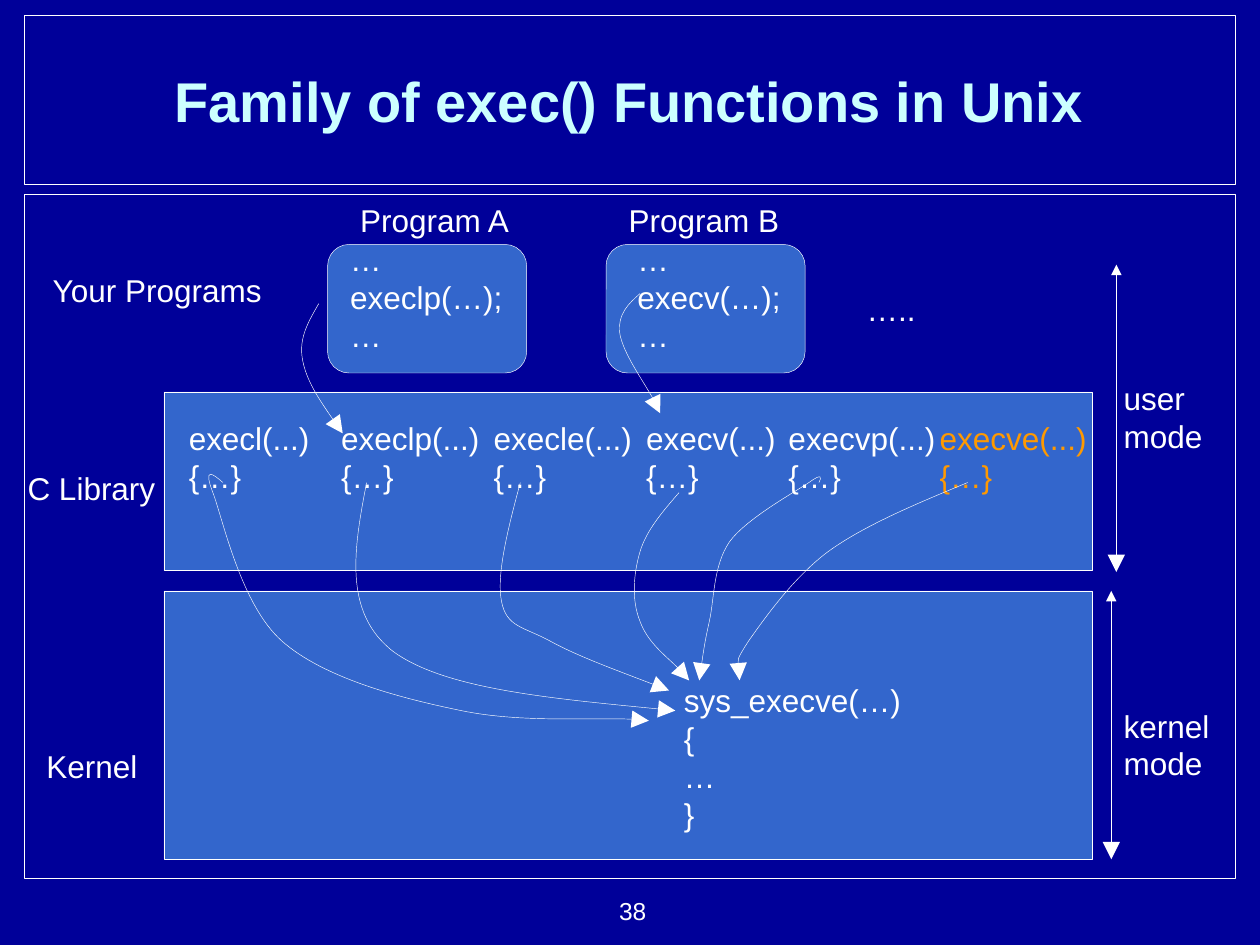
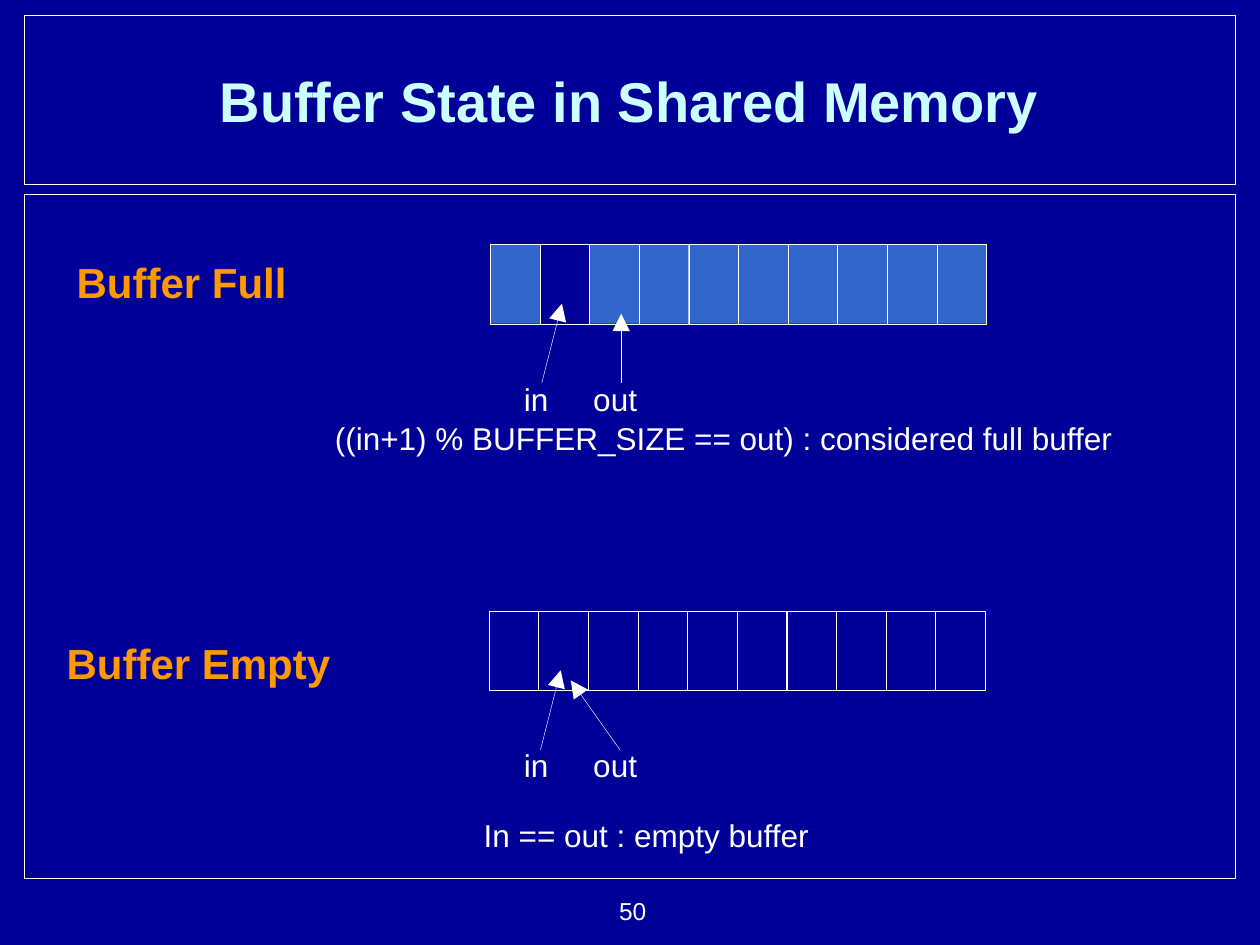
from lxml import etree
from pptx import Presentation
from pptx import util as u
from pptx.dml.color import RGBColor
from pptx.enum import shapes, text
from pptx.oxml import ns

NAVY = RGBColor(0x00, 0x00, 0x99)
BLUE = RGBColor(0x33, 0x66, 0xCC)
WHITE = RGBColor(0xFF, 0xFF, 0xFF)
PALE = RGBColor(0xCC, 0xFF, 0xFF)
ORANGE = RGBColor(0xFF, 0x99, 0x00)

FONT = "Arial"
COLS, ROWS = 100, 75  # all lengths below are columns and rows of this grid
HAIRLINE = 0.25
RECT = shapes.MSO_SHAPE.RECTANGLE
ROUNDED = shapes.MSO_SHAPE.ROUNDED_RECTANGLE


class Deck:
    """Holds the deck's style and the slide being drawn."""

    def __init__(self):
        self.prs = Presentation()
        self.prs.slide_width, self.prs.slide_height = u.Inches(10), u.Inches(7.5)
        self.col = self.prs.slide_width / COLS
        self.row = self.prs.slide_height / ROWS
        fill = self.prs.slide_master.background.fill
        fill.solid()
        fill.fore_color.rgb = NAVY
        self.s = None

    def point(self, x, y):
        return round(x * self.col), round(y * self.row)

    def slide(self, title, number):
        """Start a slide with the shared frames, title and page number."""
        self.s = self.prs.slides.add_slide(self.prs.slide_layouts[6])
        self.box(1.95, 1.25, 96.1, 13.4, weight=0.75)
        self.box(1.95, 15.45, 96.1, 54.3, weight=0.75)
        self.text([title], 3.5, 1.7, 92.9, 12.5, PALE, 32, bold=True,
                  align=text.PP_ALIGN.CENTER, anchor=text.MSO_ANCHOR.MIDDLE)
        self.text([number], 41.9, 70.6, 9.4, 3.4, size=14,
                  align=text.PP_ALIGN.RIGHT)

    def box(self, x, y, w, h, fill=None, weight=HAIRLINE, kind=RECT):
        sp = self.s.shapes.add_shape(kind, *self.point(x, y), *self.point(w, h))
        self.paint(sp, fill, weight)

    def paint(self, sp, fill=None, weight=HAIRLINE):
        sp.shadow.inherit = False
        if fill is None:
            sp.fill.background()
        else:
            sp.fill.solid()
            sp.fill.fore_color.rgb = fill
        self.stroke(sp, weight)

    def stroke(self, sp, weight=HAIRLINE):
        sp.line.color.rgb = WHITE
        sp.line.width = u.Pt(weight)

    def text(self, lines, x, y, w, h=4, color=WHITE, size=18, bold=False,
             align=text.PP_ALIGN.LEFT, anchor=text.MSO_ANCHOR.TOP):
        """One paragraph per line; a newline inside a line is a line break."""
        sp = self.s.shapes.add_textbox(*self.point(x, y), *self.point(w, h))
        tf = sp.text_frame
        tf.word_wrap = True
        tf.vertical_anchor = anchor
        if align != text.PP_ALIGN.CENTER:
            tf.margin_right = 0  # leaves room so that labels stay on one line
        for i, line in enumerate(lines):
            p = tf.add_paragraph() if i else tf.paragraphs[0]
            p.alignment = align
            for j, part in enumerate(line.split("\n")):
                if j:
                    p.add_line_break()
                r = p.add_run()
                r.text = part
                r.font.name, r.font.size, r.font.bold = FONT, u.Pt(size), bold
                r.font.color.rgb = color

    def arrowhead(self, sp, end, size):
        ln = sp.line._get_or_add_ln()
        etree.SubElement(ln, ns.qn(f"a:{end}"), type="triangle", w=size, len=size)

    def arrow(self, x1, y1, x2, y2, both=False):
        sp = self.s.shapes.add_connector(shapes.MSO_CONNECTOR.STRAIGHT,
                                         *self.point(x1, y1), *self.point(x2, y2))
        self.stroke(sp)
        if both:
            self.arrowhead(sp, "headEnd", "med")
        self.arrowhead(sp, "tailEnd", "lg")
        etree.SubElement(sp._element.spPr, ns.qn("a:effectLst"))

    def curve(self, *points):
        """Arrow along Bezier curves: a start, then three points per curve."""
        start, *rest = [self.point(*xy) for xy in points]
        builder = self.s.shapes.build_freeform(*start)
        builder.add_line_segments(rest, close=False)
        sp = builder.convert_to_shape()
        self.paint(sp)
        self.arrowhead(sp, "tailEnd", "lg")
        segments = list(sp._element.iter(ns.qn("a:lnTo")))
        outline = segments[0].getparent()
        for i in range(0, len(segments), 3):
            bezier = etree.SubElement(outline, ns.qn("a:cubicBezTo"))
            for segment in segments[i:i + 3]:
                bezier.append(segment[0])
                outline.remove(segment)


def exec_family(d):
    d.slide("Family of exec() Functions in Unix", "38")

    # Programs
    for name, call, box_x, name_x, call_x, call_w in (
            ("Program A", "execlp(…);", 26, 27.6, 26.8, 14.1),
            ("Program B", "execv(…);", 48.1, 48.9, 49.6, 13.4)):
        d.box(box_x, 19.4, 15.8, 10.2, BLUE, kind=ROUNDED)
        d.text([name], name_x, 15.5, 13.9)
        d.text(["…", call, "…"], call_x, 18.6, call_w, 10)
    d.text(["….."], 67.8, 22.5, 5.9)

    # Kernel and library bands
    d.box(13, 46.9, 73.7, 21.3, BLUE)
    d.box(13, 31.1, 73.7, 14.2, BLUE)
    d.text(["sys_execve(…)", "{", "…", "}"], 53.3, 53.6, 19.2, 13)

    # Library functions
    for name, x, w, color in (("execl", 14, 11.6, WHITE), ("execlp", 26.1, 13, WHITE),
                              ("execle", 38.2, 13, WHITE), ("execv", 50.3, 12.3, WHITE),
                              ("execvp", 61.6, 13.6, WHITE),
                              ("execve", 73.6, 13.6, ORANGE)):
        d.text([f"{name}(...)", "{…}"], x, 32.8, w, 7, color)

    # Layer names
    for name, x, y, w in (("Your Programs", 3.2, 21, 18.8),
                          ("C Library", 1.2, 36.7, 12.1), ("Kernel", 2.7, 58.8, 9.2)):
        d.text([name], x, y, w)

    # Modes
    d.arrow(88.6, 21, 88.6, 45.4, both=True)
    d.arrow(88.2, 46.9, 88.2, 68.2, both=True)
    d.text(["user\nmode"], 88.2, 29.6, 8.2, 7)
    d.text(["kernel\nmode"], 88.2, 55.6, 8.8, 10)

    # Calls from the programs into the library
    d.curve((25.3, 24.1), (24.5, 25.5), (23.7, 26.8), (24, 28.5),
            (24.3, 30.2), (25.7, 32.3), (27.2, 34.4))
    d.curve((50.8, 23.3), (49.9, 24.1), (49, 24.9), (49.2, 26.5),
            (49.5, 28.1), (52, 31.6), (52.4, 32.8))

    # Calls from the library into the kernel
    d.curve((17.7, 38.3), (16.9, 37.6), (16.1, 37), (16.9, 39.1),
            (17.7, 41.2), (19.1, 48), (22.4, 50.9),
            (25.7, 53.8), (31.7, 55.4), (36.6, 56.4),
            (41.4, 57.4), (48.9, 56.8), (51.5, 57.2))
    d.curve((29.1, 38.3), (28.1, 43.5), (27.2, 48.6), (31.2, 51.7),
            (35.3, 54.7), (44.5, 55.5), (53.6, 56.4))
    d.curve((41.3, 38.3), (40.3, 42), (39.4, 45.6), (39.8, 47.7),
            (40.2, 49.8), (41.5, 49.7), (43.7, 50.9),
            (45.9, 52.1), (49.5, 53.4), (53.1, 54.8))
    d.curve((53.9, 39.1), (52.6, 40.6), (51.3, 42.1), (50.8, 43.8),
            (50.3, 45.5), (50.1, 47.6), (50.8, 49.3),
            (51.4, 51), (54.2, 53.2), (54.7, 54))
    d.curve((65, 38.3), (65.2, 37.9), (65.3, 37.5), (64.2, 38.3),
            (63, 39.1), (59.2, 41.2), (57.9, 43),
            (56.6, 44.9), (56.7, 47.5), (56.3, 49.3),
            (55.9, 51.1), (55.7, 52.6), (55.5, 54))
    d.curve((76.8, 38.3), (72.7, 40), (68.6, 41.7), (65.7, 43.8),
            (62.9, 45.9), (60.6, 49.2), (59.4, 50.9),
            (58.3, 52.6), (58.5, 53.3), (58.7, 54))


def buffer_row(d, x, y, filled, out_start, out_tip):
    """Ten cells with the in and out pointers below them."""
    for i in range(10):
        d.box(x + i * 3.94, y, 3.94, 6.3, BLUE if i in filled else None)
    d.arrow(x + 4.1, y + 11, x + 5.7, y + 4.7)
    d.arrow(out_start, y + 11, *out_tip)
    d.text(["in"], 40.6, y + 10.25, 3.9)
    d.text(["out"], 46.1, y + 10.25, 5.5)


def buffer_state(d):
    d.slide("Buffer State in Shared Memory", "50")

    # Full buffer: every cell but the one at "in" is used
    d.text(["Buffer Full"], 5.1, 19.9, 18.6, 5, ORANGE, 24, bold=True)
    buffer_row(d, 38.9, 19.4, set(range(10)) - {1}, 49.3, (49.3, 24.9))
    d.text(["((in+1) % BUFFER_SIZE == out) : considered full buffer"],
           25.6, 32.8, 63.7)

    # Empty buffer
    d.text(["Buffer Empty"], 4.3, 50.1, 22.9, 5, ORANGE, 24, bold=True)
    buffer_row(d, 38.8, 48.5, set(), 49.2, (45.3, 54))
    d.text(["In == out : empty buffer"], 37.4, 64.3, 27.8)


def main():
    d = Deck()
    exec_family(d)
    buffer_state(d)
    d.prs.save("out.pptx")


if __name__ == "__main__":
    main()
